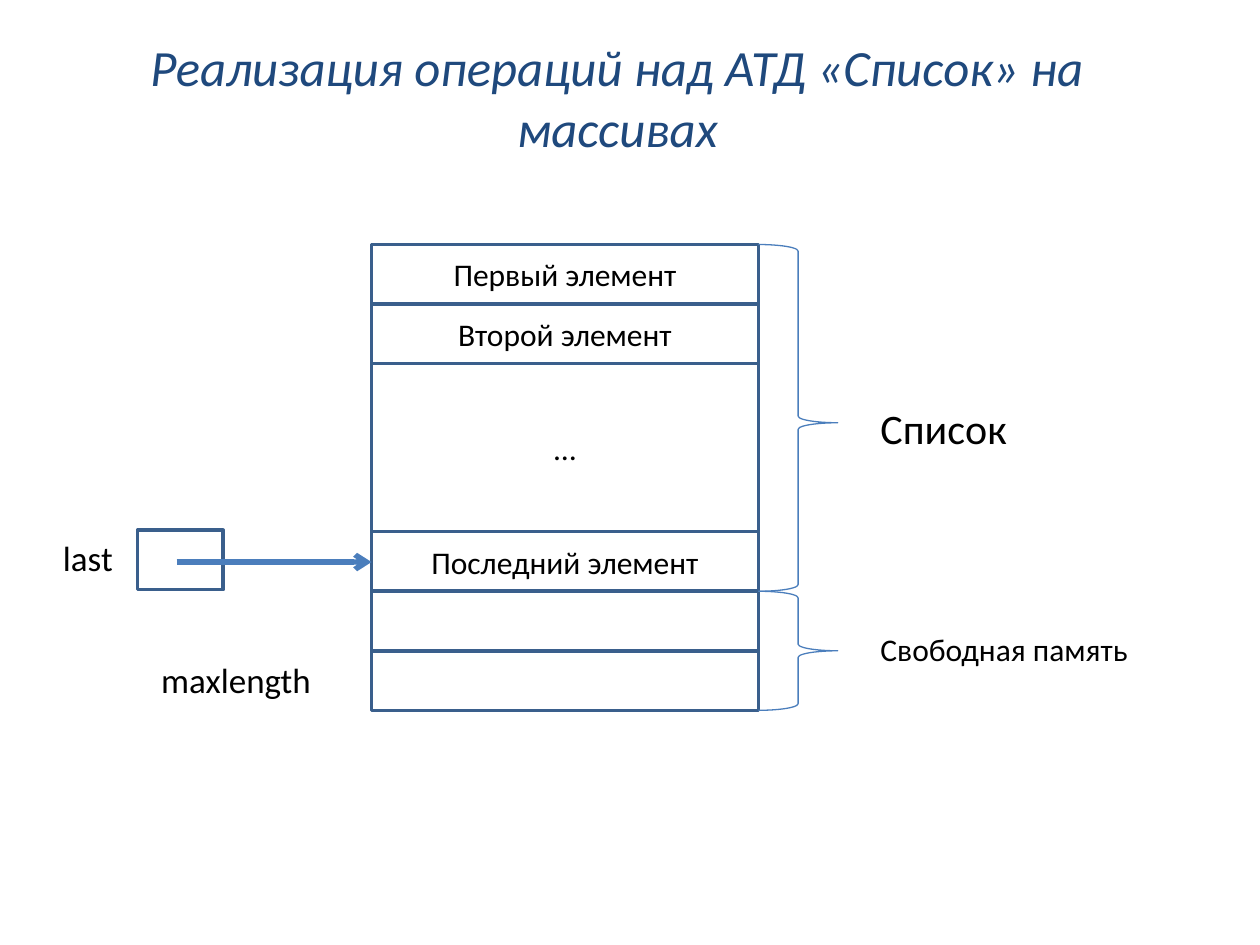
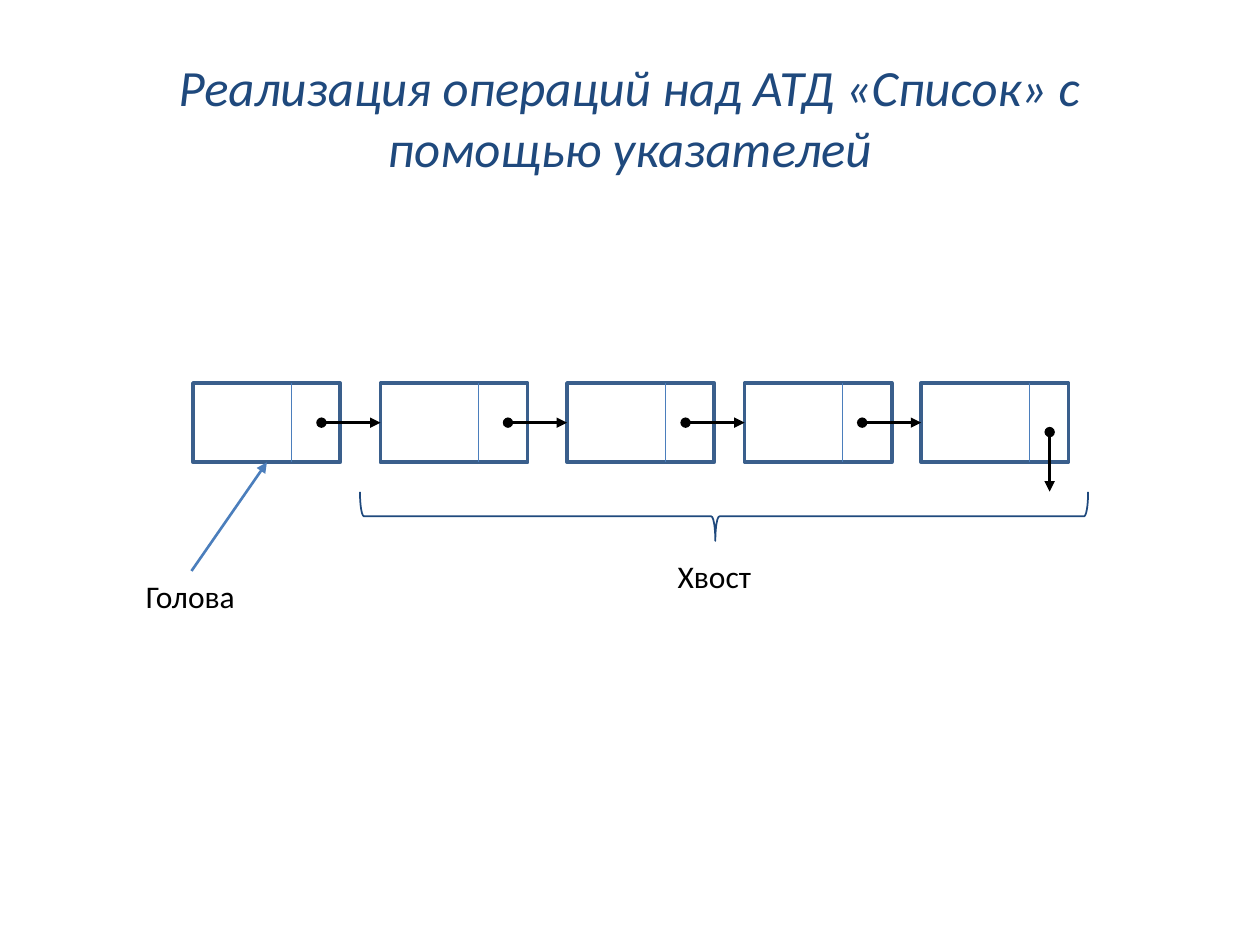
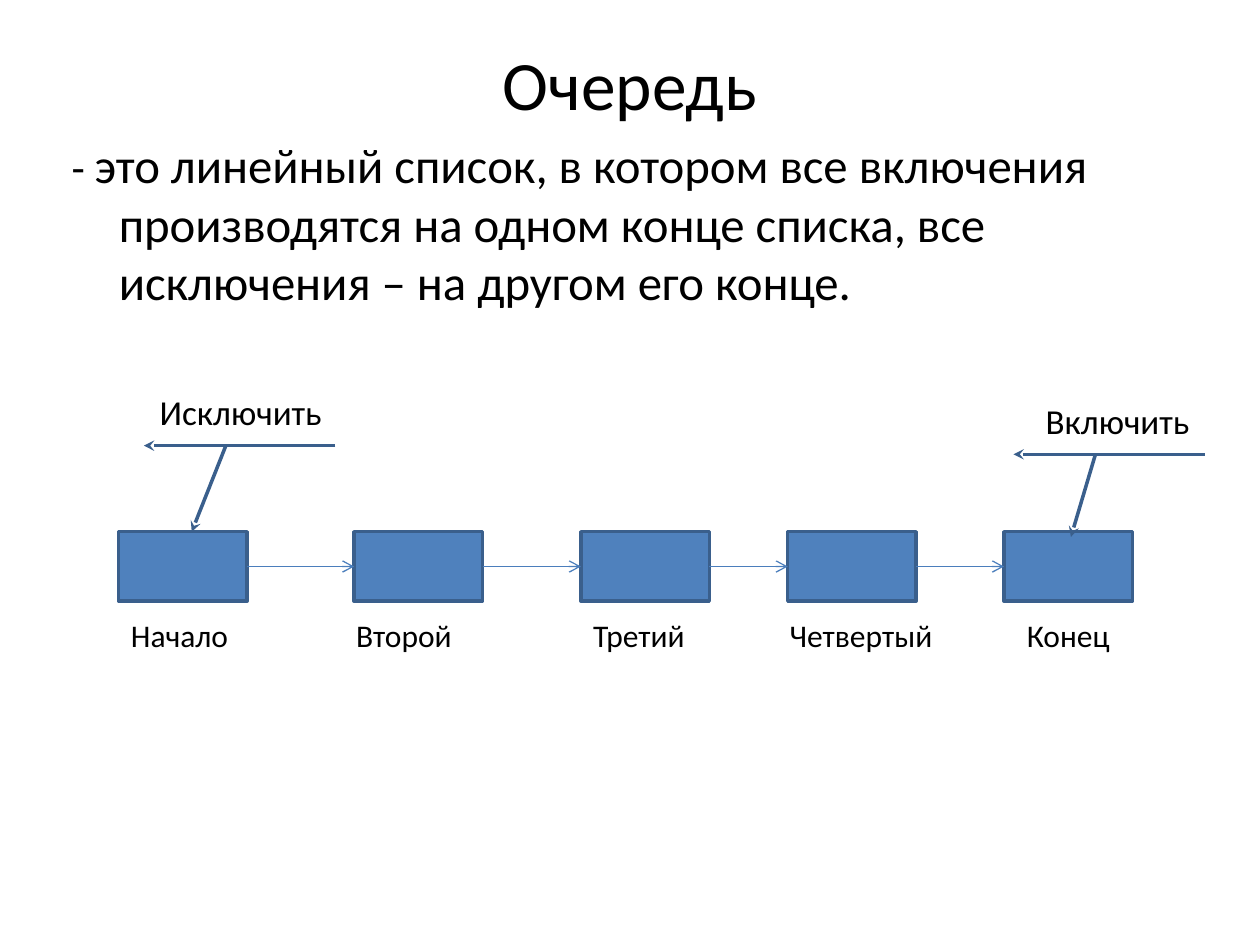
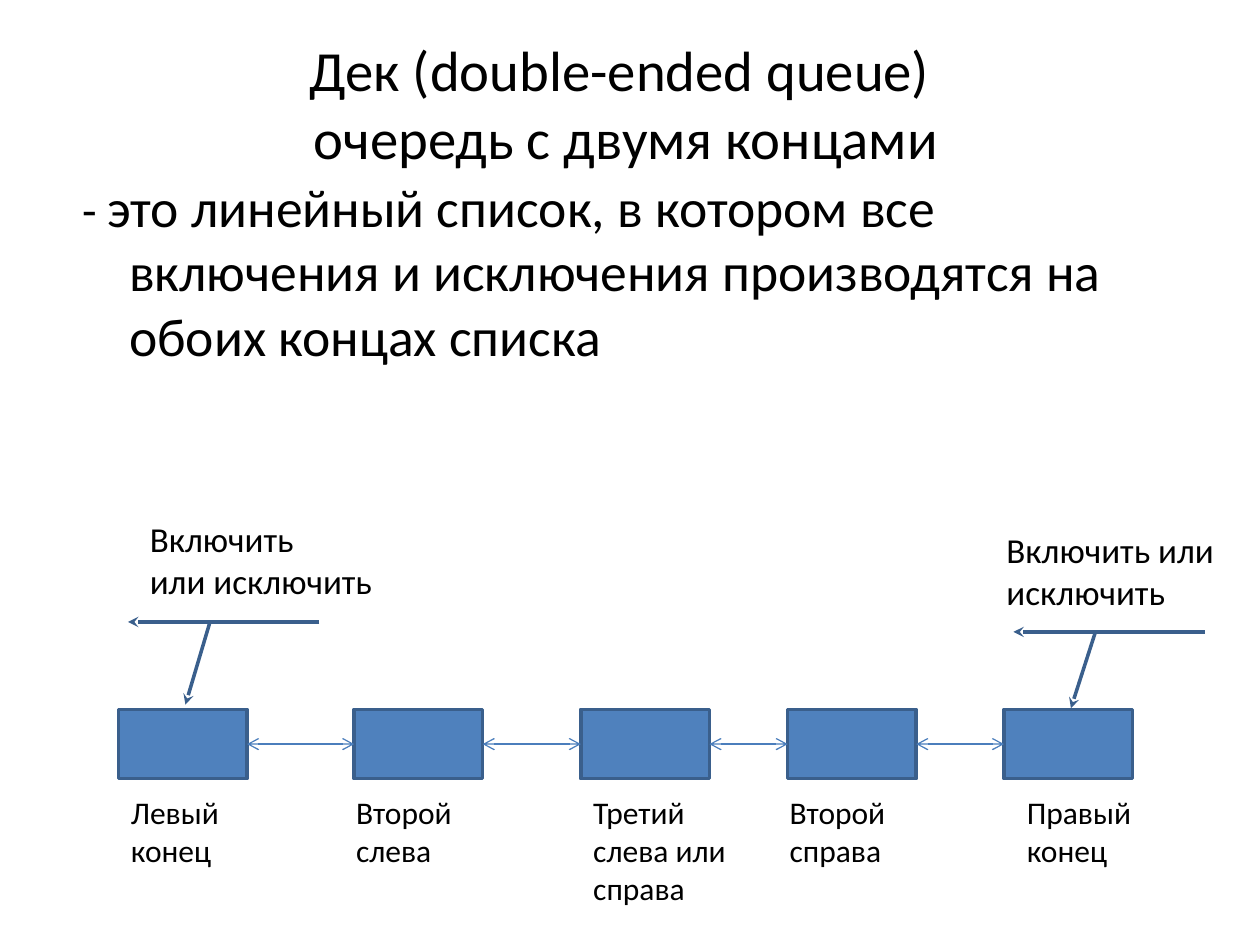
"""Builds four slides on lists, queues and deques."""
import pptx
import pptx.util
import pptx.dml.color
import pptx.enum.shapes
import pptx.enum.text
import pptx.oxml.ns
from lxml import etree

Cm = pptx.util.Cm
Pt = pptx.util.Pt
SHAPE = pptx.enum.shapes.MSO_SHAPE
ALIGN = pptx.enum.text.PP_ALIGN
ANCHOR = pptx.enum.text.MSO_ANCHOR
AUTO = pptx.enum.text.MSO_AUTO_SIZE
qn = pptx.oxml.ns.qn

FONT = "Calibri"
COLORS = {"title": "1F497D", "text": "000000", "edge": "3A5F8C",
          "line": "4B7EBC", "node": "4F81BD"}
TITLE_W = 22.86

ARRAY = {
    "title": "Реализация операций над АТД «Список» на массивах",
    "title_at": (1.02, 0.56, TITLE_W, 2.77),
    "cells": [("Первый элемент", 1.2), ("Второй элемент", 1.2), ("…", 3.39),
              ("Последний элемент", 1.2), ("", 1.2), ("", 1.2)],
    "used": 4,
    "labels": [("Список", 17.5, 7.98, 3.4, 24),
               ("Свободная память", 17.5, 12.57, 6.2, 18),
               ("last", 1.02, 10.69, 1.7, 20),
               ("maxlength", 3, 13.16, 4.19, 20)],
}
POINTERS = {
    "title": "Реализация операций над АТД «Список» с помощью указателей",
    "title_at": (1.27, 0.76, TITLE_W, 3.18),
    "nodes": [3.89, 7.67, 11.43, 15.01, 18.57],
    "labels": [("Голова", 2.69, 11.51, 2.34, 18), ("Хвост", 13.41, 11.1, 2.01, 18)],
}
NODE_X = [2.39, 7.14, 11.71, 15.88, 20.24]
CAPTION_X = [2.39, 6.93, 11.71, 15.67, 20.45]
QUEUES = [
    {
        "title": "Очередь", "title_size": 39.6,
        "title_at": (1.27, 0.76, TITLE_W, 1.83),
        "body": "это линейный список, в котором все включения производятся на одном "
                "конце списка, все исключения – на другом его конце.",
        "body_at": (1.19, 2.59, TITLE_W, 3.3), "dash_size": 24.8, "body_size": 27.9,
        "top": 10.72, "head": None,
        "captions": [("Начало", 2.49), ("Второй", 2.46), ("Третий", 2.39),
                     ("Четвертый", 3.43), ("Конец", 2.21)],
        "callouts": [((3.61, 5.79, 2.44, 3.86), 0.75, -0.73),
                     ((21.56, 6.4, 1.6, 3.86), 0.7, -1.06)],
        "actions": [("Исключить", 2.97, 7.75, 3.81, 20),
                    ("Включить", 20.83, 7.92, 3.43, 20)],
    },
    {
        "title": "Дек (double-ended queue) \vочередь с двумя концами", "title_size": 32.4,
        "title_at": (1.19, 0.58, TITLE_W, 2.97),
        "body": "это линейный список, в котором все включения и исключения "
                "производятся на обоих концах списка",
        "body_at": (1.4, 3.38, TITLE_W, 3.76), "dash_size": 27.2, "body_size": 30.6,
        "top": 14.3, "head": "arrow",
        "captions": [("Левый\nконец", 2.46), ("Второй\nслева", 2.46),
                     ("Третий\nслева или\nсправа", 3.2), ("Второй\nсправа", 2.62),
                     ("Правый\nконец", 2.64)],
        "callouts": [((21.56, 9.98, 1.6, 3.86), 0.7, -0.98),
                     ((3.71, 9.78, 1.6, 3.86), 0.7, -1.06)],
        "actions": [("Включить\nили исключить", 2.77, 10.31, 5.03, 20),
                    ("Включить или\nисключить", 20.04, 10.52, 4.72, 20)],
    },
]


def rgb(name):
    return pptx.dml.color.RGBColor.from_string(COLORS[name])


def write(tf, text, size=18, color="text", italic=None, align=None, lead="", lead_size=None):
    for i, line in enumerate(text.split("\n")):
        p = tf.paragraphs[0] if i == 0 else tf.add_paragraph()
        p.alignment = align
        parts = [(part, size) for part in line.split("\v")]
        if lead:
            parts.insert(0, (lead, lead_size))
        for j, (part, part_size) in enumerate(parts):
            if j and not lead:
                p.add_line_break()
            r = p.add_run()
            r.text = part
            r.font.name, r.font.size, r.font.italic = FONT, Pt(part_size), italic
            r.font.color.rgb = rgb(color)


def place(sp, at):
    sp.left, sp.top, sp.width, sp.height = map(Cm, at)
    sp.text_frame.auto_size = AUTO.NONE


def title(s, data, size, **fmt):
    sp = s.shapes.title
    place(sp, data["title_at"])
    sp.text_frame.vertical_anchor = ANCHOR.MIDDLE
    write(sp.text_frame, data["title"], size, align=ALIGN.CENTER, **fmt)


def body(s, data):
    sp = s.placeholders[1]
    place(sp, data["body_at"])
    write(sp.text_frame, data["body"], data["body_size"],
          lead="- ", lead_size=data["dash_size"])
    pPr = sp.text_frame.paragraphs[0]._p.get_or_add_pPr()
    pPr.set("marL", str(Cm(0.95)))
    pPr.set("indent", str(-Cm(0.95)))
    etree.SubElement(pPr, qn("a:buNone"))


def label(s, text, x, y, w, size, wrap=False):
    lines = text.count("\n") + 1
    sp = s.shapes.add_textbox(Cm(x), Cm(y), Cm(w), Cm(0.25 + 0.043 * size * lines))
    sp.text_frame.word_wrap = wrap
    sp.text_frame.auto_size = AUTO.SHAPE_TO_FIT_TEXT
    write(sp.text_frame, text, size)


def arrowheads(sp, head, tail):
    ln = sp.element.spPr.find(qn("a:ln"))
    for tag, kind in (("a:headEnd", head), ("a:tailEnd", tail)):
        if kind:
            etree.SubElement(ln, qn(tag)).set("type", kind)


def shape(s, kind, at, text="", fill=None, line="edge", width=2, adj=(), rot=0):
    sp = s.shapes.add_shape(kind, *map(Cm, at))
    sp.shadow.inherit = False
    sp.rotation = rot
    for i, value in enumerate(adj):
        sp.adjustments[i] = value
    if fill:
        sp.fill.solid()
        sp.fill.fore_color.rgb = rgb(fill)
    else:
        sp.fill.background()
    sp.line.color.rgb, sp.line.width = rgb(line), Pt(width)
    if text:
        sp.text_frame.vertical_anchor = ANCHOR.MIDDLE
        write(sp.text_frame, text, align=ALIGN.CENTER)
    return sp


def connect(s, x1, y1, x2, y2, color="line", width=0.75, head=None, tail=None):
    sp = s.shapes.add_connector(pptx.enum.shapes.MSO_CONNECTOR.STRAIGHT,
                                Cm(x1), Cm(y1), Cm(x2), Cm(y2))
    sp.line.color.rgb, sp.line.width = rgb(color), Pt(width)
    arrowheads(sp, head, tail)
    etree.SubElement(sp.element.spPr, qn("a:effectLst"))


def callout(s, at, end_y, end_x):
    sp = shape(s, SHAPE.LINE_CALLOUT_1_ACCENT_BAR, at,
               adj=(0.572, -0.019, end_y, end_x), rot=270)
    sp.element.spPr.xfrm.set("flipV", "1")
    arrowheads(sp, None, "stealth")


def array_slide(s, data):
    title(s, data, 29, color="title", italic=True)
    x, w, top = 7.49, 7.8, 4.93
    y = top
    for i, (text, h) in enumerate(data["cells"]):
        if i == data["used"]:
            split = y
        shape(s, SHAPE.RECTANGLE, (x, y, w, h), text)
        y += h
    for y1, y2, middle in ((top, split, 0.514), (split, y, 0.5)):
        shape(s, SHAPE.RIGHT_BRACE, (x + w, y1, 1.6, y2 - y1),
              line="line", width=0.75, adj=(0.083, middle))
    shape(s, SHAPE.RECTANGLE, (2.77, 10.69, 1.73, 1.2))
    connect(s, 3.56, 11.33, x, 11.33, width=3, tail="arrow")
    for item in data["labels"]:
        label(s, *item, wrap=True)


def pointer_slide(s, data):
    title(s, data, 29, color="title", italic=True)
    nodes, y, w, h = data["nodes"], 7.72, 2.97, 1.6
    link = {"color": "text", "width": 1.5, "head": "oval", "tail": "triangle"}
    for x in nodes:
        shape(s, SHAPE.RECTANGLE, (x, y, w, h))
        divider = x + (2.18 if x == nodes[-1] else 1.98)
        connect(s, divider, y, divider, y + h)
    for x in nodes[1:]:
        connect(s, x - 1.19, y + h / 2, x, y + h / 2, **link)
    connect(s, 21.16, 8.71, 21.16, 9.91, **link)
    connect(s, 3.86, 11.51, 5.38, y + h, width=1.5, tail="triangle")
    shape(s, SHAPE.RIGHT_BRACE, (14.1, 3.07, 0.99, 14.68),
          line="title", width=1, adj=(0.083, 0.512), rot=90)
    for item in data["labels"]:
        label(s, *item)


def queue_slide(s, data):
    title(s, data, data["title_size"])
    body(s, data)
    top, w, h = data["top"], 2.59, 1.4
    for x in NODE_X:
        shape(s, SHAPE.RECTANGLE, (x, top, w, h), fill="node")
    for x, following in zip(NODE_X, NODE_X[1:]):
        connect(s, x + w, top + h / 2, following, top + h / 2,
                head=data["head"], tail="arrow")
    for x, (text, width) in zip(CAPTION_X, data["captions"]):
        label(s, text, x, top + 1.57, width, 18)
    for item in data["callouts"]:
        callout(s, *item)
    for item in data["actions"]:
        label(s, *item)


def main():
    prs = pptx.Presentation()
    prs.slide_width, prs.slide_height = Cm(25.4), Cm(19.05)
    text_layout, title_layout = prs.slide_layouts[1], prs.slide_layouts[5]
    array_slide(prs.slides.add_slide(title_layout), ARRAY)
    pointer_slide(prs.slides.add_slide(title_layout), POINTERS)
    for data in QUEUES:
        queue_slide(prs.slides.add_slide(text_layout), data)
    prs.save("out.pptx")


if __name__ == "__main__":
    main()
